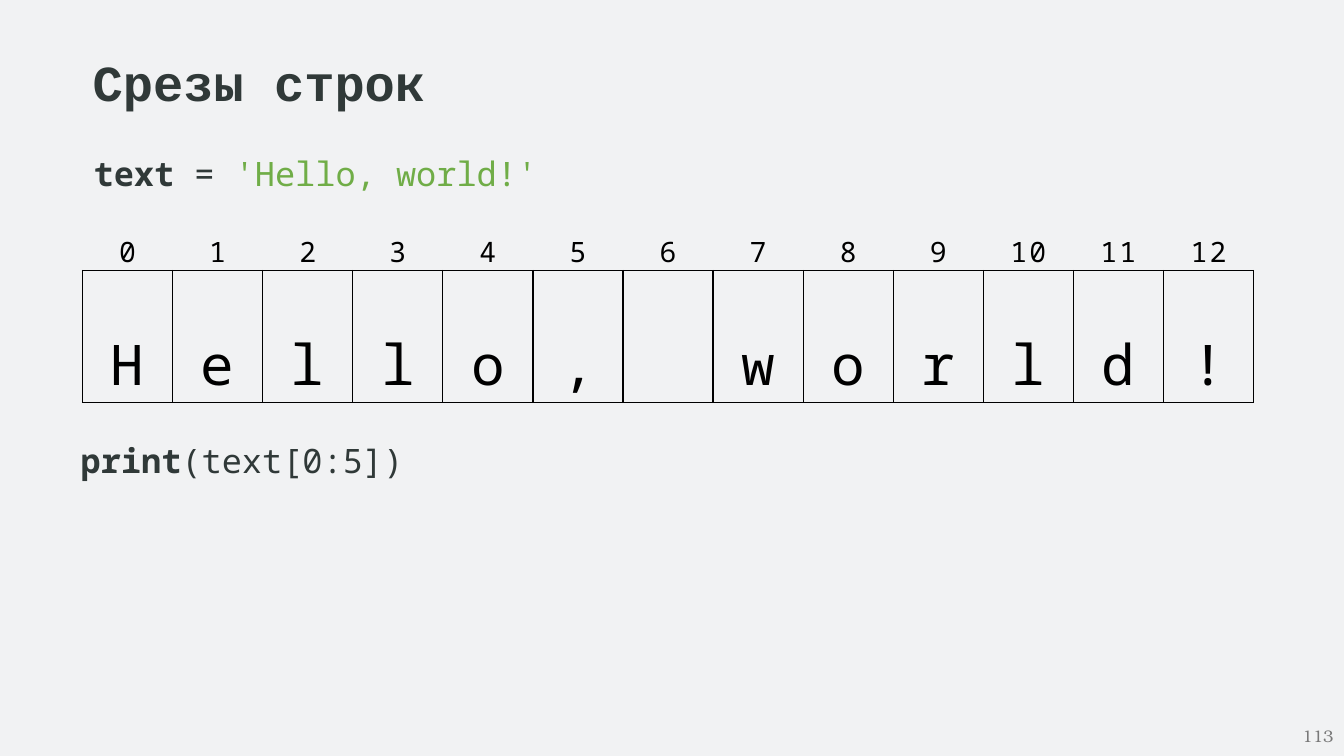
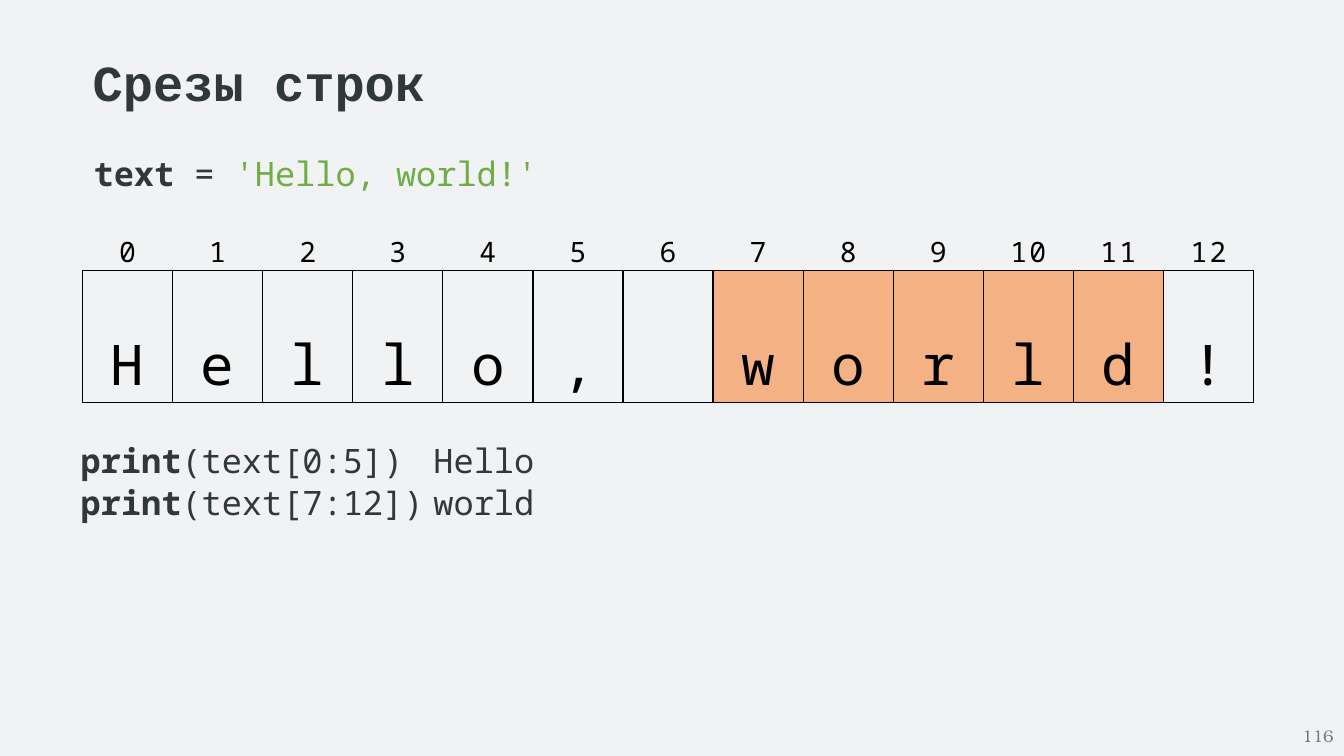
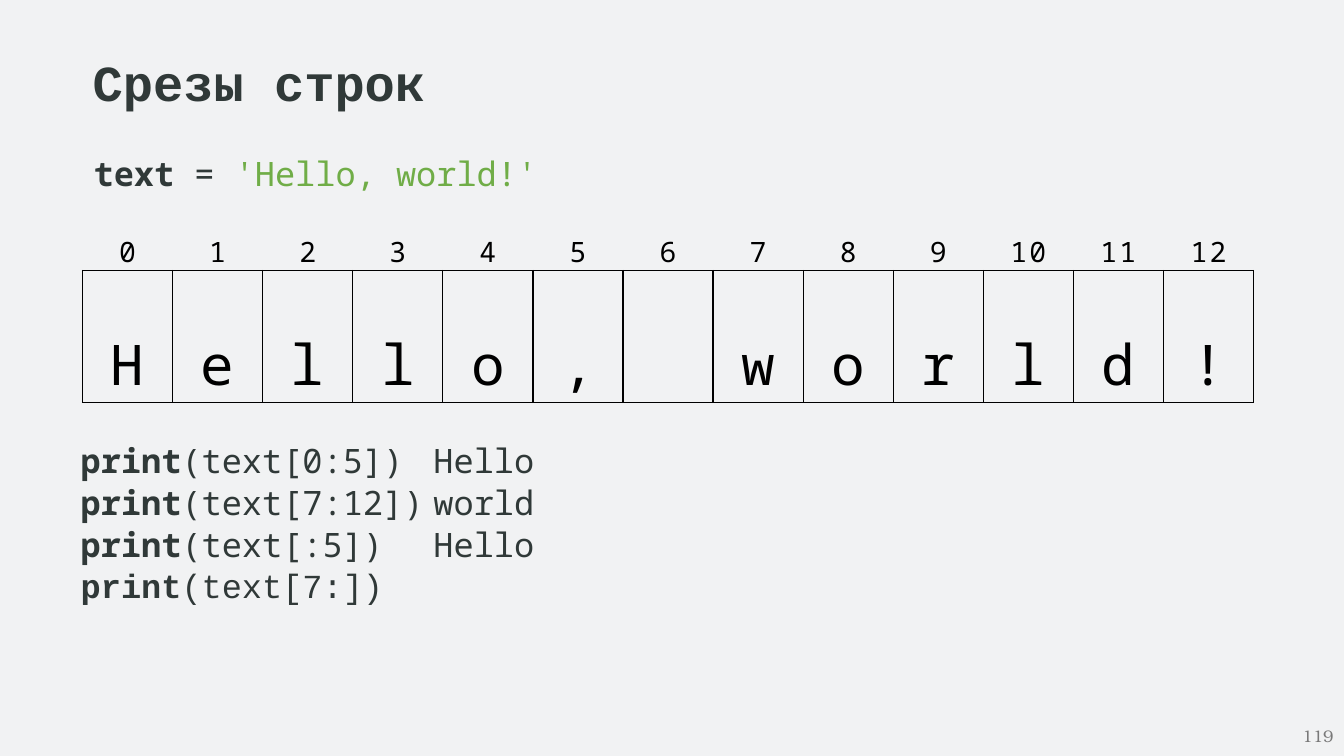
from dataclasses import dataclass

from lxml.etree import SubElement
from pptx import Presentation
from pptx.dml.color import RGBColor
from pptx.enum.text import MSO_ANCHOR as Anchor, MSO_AUTO_SIZE as AutoSize, PP_ALIGN as Align
from pptx.oxml.ns import qn
from pptx.slide import Slide
from pptx.util import Cm, Pt

# Shared style
BACKGROUND = RGBColor(0xF1, 0xF2, 0xF3)
DARK = RGBColor(0x30, 0x39, 0x38)
GREEN = RGBColor(0x70, 0xAD, 0x47)
ORANGE = RGBColor(0xF4, 0xB1, 0x83)
BLACK = RGBColor(0, 0, 0)
GREY = RGBColor(0x79, 0x79, 0x79)
MONO = "Noto Sans Mono"
COURIER = "Courier New"
NUMBER_FONT = "TeX Gyre Bonum"
NO_TABLE_STYLE = "{2D5ABB26-0587-4C30-8999-92F81FD0307C}"

TITLE = "Срезы строк"
STRING = "Hello, world!"
CELL_WIDTH = Cm(2.27)
ROW_HEIGHTS = (Cm(1.2), Cm(3.32), Cm(0.96))
OUTPUT_TAB = Cm(12.7)


@dataclass(frozen=True)
class Span:
    text: str
    bold: bool = False
    color: RGBColor = DARK
    font: str = MONO


@dataclass(frozen=True)
class PrintCall:
    argument: str
    output: str = ""
    font: str = MONO

    def spans(self) -> list[Span]:
        result = f"\t{self.output}" if self.output else ""
        return [Span("print", True, font=self.font),
                Span(f"({self.argument}){result}", font=self.font)]


@dataclass(frozen=True)
class SliceSlide:
    number: int
    calls: tuple[PrintCall, ...]
    highlight: range = range(0)


HELLO = PrintCall("text[0:5]", "Hello")
WORLD = PrintCall("text[7:12]", "world")
SLIDES = (
    SliceSlide(113, (PrintCall("text[0:5]"),)),
    SliceSlide(116, (HELLO, WORLD), range(7, 12)),
    SliceSlide(119, (HELLO, WORLD, PrintCall("text[:5]", "Hello"),
                     PrintCall("text[7:]", font=COURIER))),
)


def format_run(run, font: str, size: float, color: RGBColor, bold: bool = False) -> None:
    run.font.name = font
    run.font.size = Pt(size)
    run.font.bold = bold
    run.font.color.rgb = color


def place(shape, left: float, top: float, width: float, height: float) -> None:
    shape.left, shape.top, shape.width, shape.height = map(Cm, (left, top, width, height))


def write_code(text_frame, lines: list[list[Span]]) -> None:
    text_frame.word_wrap = True
    text_frame.auto_size = AutoSize.SHAPE_TO_FIT_TEXT
    for index, spans in enumerate(lines):
        paragraph = text_frame.paragraphs[0] if index == 0 else text_frame.add_paragraph()
        properties = paragraph._p.get_or_add_pPr()
        properties.set("marL", str(Cm(0.03)))
        properties.set("indent", "0")
        SubElement(properties, qn("a:buNone"))
        tabs = SubElement(properties, qn("a:tabLst"))
        SubElement(tabs, qn("a:tab"), pos=str(OUTPUT_TAB), algn="l")
        paragraph.alignment = Align.JUSTIFY
        paragraph.space_before = Pt(0.9 if index else 0)
        for span in spans:
            run = paragraph.add_run()
            run.text = span.text
            format_run(run, span.font, 24, span.color, span.bold)


def add_border(cell, *sides: str) -> None:
    properties = cell._tc.get_or_add_tcPr()
    for position, side in enumerate(sides):
        line = properties.makeelement(qn(f"a:ln{side}"), {"w": str(Pt(1))})
        fill = SubElement(line, qn("a:solidFill"))
        SubElement(fill, qn("a:srgbClr"), val=str(BLACK))
        properties.insert(position, line)


def write_cell(cell, text: str, size: float, line_height: float) -> None:
    cell.margin_left = cell.margin_right = cell.margin_top = cell.margin_bottom = 0
    paragraph = cell.text_frame.paragraphs[0]
    paragraph.text = text
    paragraph.alignment = Align.CENTER
    paragraph.line_spacing = Pt(line_height)
    for run in paragraph.runs:
        format_run(run, MONO, size, BLACK)


def add_letter_table(slide: Slide, highlight: range) -> None:
    count = len(STRING)
    frame = slide.shapes.add_table(len(ROW_HEIGHTS), count, Cm(2.08), Cm(5.61),
                                   CELL_WIDTH * count, sum(ROW_HEIGHTS))
    table = frame.table
    table.first_row = table.horz_banding = False
    table._tbl.tblPr.find(qn("a:tableStyleId")).text = NO_TABLE_STYLE
    for row, height in zip(table.rows, ROW_HEIGHTS):
        row.height = height
    for index, letter in enumerate(STRING):
        table.columns[index].width = CELL_WIDTH
        index_cell, letter_cell, lower_cell = (table.cell(row, index) for row in range(3))
        for cell in (index_cell, letter_cell, lower_cell):
            cell.fill.background()
        write_cell(index_cell, str(index), 20, 34.1)
        if index >= 10:
            run = index_cell.text_frame.paragraphs[0].runs[0]
            run._r.get_or_add_rPr().set("spc", "160")
        if letter.strip():
            write_cell(letter_cell, letter, 40, 94)
        if index in highlight:
            letter_cell.fill.solid()
            letter_cell.fill.fore_color.rgb = ORANGE
        add_border(index_cell, "B")
        add_border(letter_cell, "L", "R", "T", "B")
        add_border(lower_cell, "T")


def add_title(slide: Slide) -> None:
    title = slide.shapes.title
    place(title, 2.08, 1.17, 9, 1.8)
    text_frame = title.text_frame
    text_frame.text = TITLE
    text_frame.word_wrap = False
    text_frame.auto_size = AutoSize.SHAPE_TO_FIT_TEXT
    text_frame.vertical_anchor = Anchor.TOP
    text_frame.paragraphs[0].alignment = Align.LEFT
    format_run(text_frame.paragraphs[0].runs[0], COURIER, 36, DARK, True)


def add_number(slide: Slide, number: int) -> None:
    box = slide.shapes.add_textbox(Cm(26.24), Cm(18.03), Cm(7.62), Cm(1.02))
    text_frame = box.text_frame
    text_frame.text = str(number)
    text_frame.word_wrap = True
    text_frame.vertical_anchor = Anchor.MIDDLE
    text_frame.paragraphs[0].alignment = Align.RIGHT
    format_run(text_frame.paragraphs[0].runs[0], NUMBER_FONT, 12, GREY)


def add_slice_slide(presentation, content: SliceSlide) -> None:
    slide = presentation.slides.add_slide(presentation.slide_layouts[1])
    add_title(slide)
    # Assignment above the table
    assignment = slide.shapes.add_textbox(Cm(2.08), Cm(3.73), Cm(30.33), Cm(1.27))
    write_code(assignment.text_frame,
               [[Span("text ", True), Span("= "), Span(f"'{STRING}'", color=GREEN)]])
    # Calls and their output below the table
    body = slide.placeholders[1]
    place(body, 1.75, 10.97, 30.33, 5.54 if len(content.calls) > 3 else 4.47)
    write_code(body.text_frame, [call.spans() for call in content.calls])
    add_letter_table(slide, content.highlight)
    add_number(slide, content.number)


def main() -> None:
    presentation = Presentation()
    presentation.slide_width, presentation.slide_height = Cm(33.87), Cm(19.05)
    background = presentation.slide_master.background.fill
    background.solid()
    background.fore_color.rgb = BACKGROUND
    for content in SLIDES:
        add_slice_slide(presentation, content)
    presentation.save("out.pptx")


if __name__ == "__main__":
    main()
